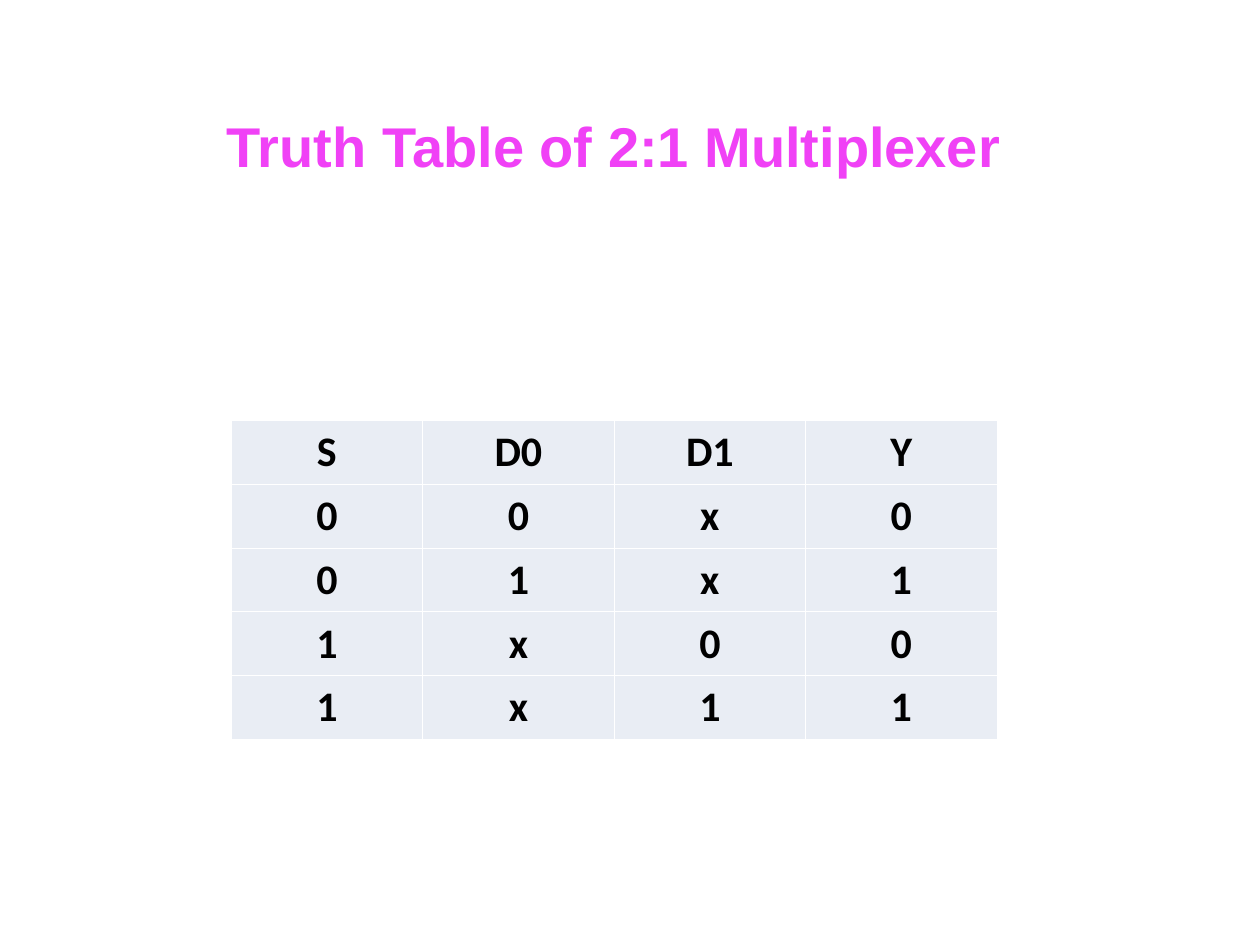
from dataclasses import dataclass

from lxml import etree
from pptx import Presentation
from pptx import util as u
from pptx.dml.color import RGBColor
from pptx.enum import text
from pptx.oxml import ns


@dataclass(frozen=True)
class Theme:
    """Colours, fonts and type sizes of the slide."""
    title_color: str = "F041F6"
    title_font: str = "Arial"
    title_size: int = 32
    cell_color: str = "000000"
    cell_font: str = "Calibri"
    cell_size: int = 24
    cell_fill: str = "E9EDF4"
    border_color: str = "FFFFFF"
    border_width: float = 0.45


class SlideBuilder:
    """Places styled elements on the current slide."""

    def __init__(self, page, theme):
        self.page = page
        self.theme = theme

    def bold_text(self, para, words, font, size, color):
        """Fill a paragraph with bold text in one style."""
        para.text = words
        para.font.name = font
        para.font.size = u.Pt(size)
        para.font.bold = True
        para.font.color.rgb = RGBColor.from_string(color)

    def title(self, words, left, top, width, height):
        """Add the title as a text box on one line."""
        box = self.page.shapes.add_textbox(u.Cm(left), u.Cm(top), u.Cm(width), u.Cm(height))
        frame = box.text_frame
        frame.word_wrap = False
        frame.auto_size = text.MSO_AUTO_SIZE.SHAPE_TO_FIT_TEXT
        theme = self.theme
        self.bold_text(frame.paragraphs[0], words, theme.title_font, theme.title_size, theme.title_color)

    def borders(self, cell):
        """Draw the same thin line on all four sides of a cell."""
        properties = cell._tc.get_or_add_tcPr()
        for position, side in enumerate(("lnL", "lnR", "lnT", "lnB")):
            line = etree.Element(ns.qn(f"a:{side}"), w=str(u.Pt(self.theme.border_width)))
            fill = etree.SubElement(line, ns.qn("a:solidFill"))
            etree.SubElement(fill, ns.qn("a:srgbClr"), val=self.theme.border_color)
            properties.insert(position, line)

    def table(self, rows, left, top, column_width, row_height):
        """Add a table of equal columns and rows with centred cells."""
        theme = self.theme
        row_count, column_count = len(rows), len(rows[0])
        grid = self.page.shapes.add_table(
            row_count, column_count, u.Cm(left), u.Cm(top),
            u.Cm(column_width * column_count), u.Cm(row_height * row_count)).table
        grid.first_row = grid.horz_banding = False
        for cell, words in zip(grid.iter_cells(), (value for row in rows for value in row)):
            cell.margin_left = cell.margin_right = u.Cm(0.03)
            cell.vertical_anchor = text.MSO_ANCHOR.BOTTOM
            cell.fill.solid()
            cell.fill.fore_color.rgb = RGBColor.from_string(theme.cell_fill)
            self.borders(cell)
            para = cell.text_frame.paragraphs[0]
            para.alignment = text.PP_ALIGN.CENTER
            self.bold_text(para, words, theme.cell_font, theme.cell_size, theme.cell_color)


def main():
    """Build the truth table slide and save it."""
    deck = Presentation()
    deck.slide_width, deck.slide_height = u.Cm(25.4), u.Cm(19.05)
    builder = SlideBuilder(deck.slides.add_slide(deck.slide_layouts[6]), Theme())
    truth_table = [
        ("S", "D0", "D1", "Y"),
        ("0", "0", "x", "0"),
        ("0", "1", "x", "1"),
        ("1", "x", "0", "0"),
        ("1", "x", "1", "1"),
    ]
    builder.table(truth_table, left=4.66, top=8.47, column_width=3.86, row_height=1.28)
    builder.title("Truth Table of 2:1 Multiplexer", left=4.32, top=2.12, width=16.25, height=1.62)
    deck.save("out.pptx")


if __name__ == "__main__":
    main()
